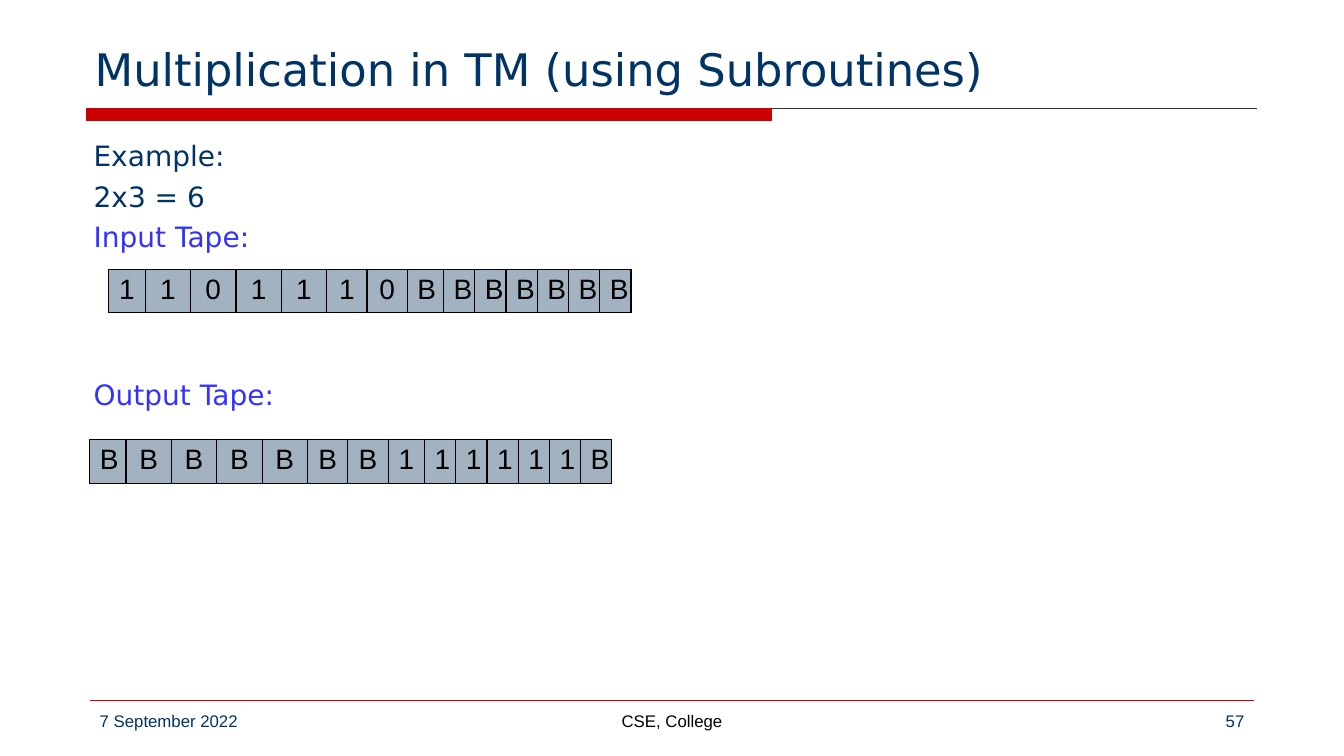
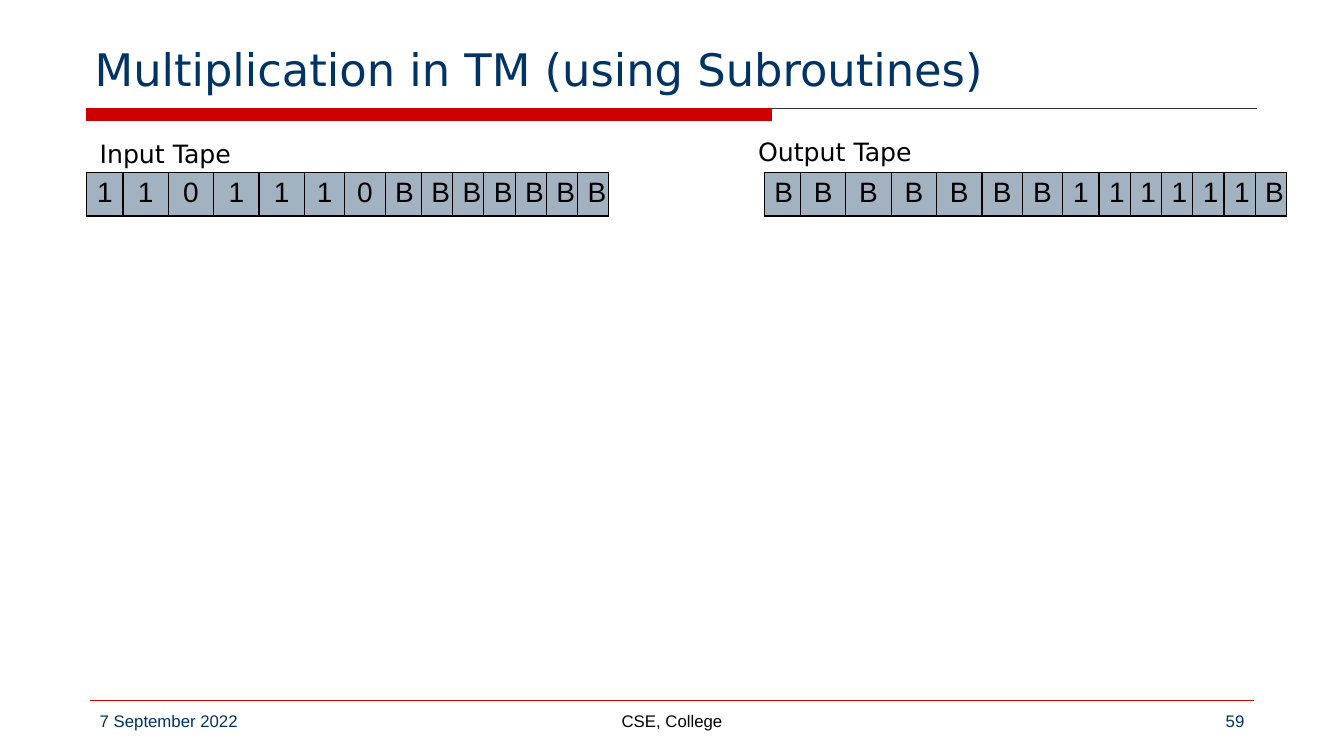
from lxml import etree
from pptx import Presentation
from pptx.dml.color import RGBColor
from pptx.enum.shapes import MSO_CONNECTOR, MSO_SHAPE
from pptx.enum.text import MSO_ANCHOR, PP_ALIGN
from pptx.oxml.ns import qn
from pptx.util import Inches, Pt

NAVY = RGBColor(0x00, 0x33, 0x66)
BLUE = RGBColor(0x33, 0x33, 0xFF)
RED = RGBColor(0xCC, 0x00, 0x00)
GREY = RGBColor(0x33, 0x33, 0x33)
CELL = RGBColor(0xA3, 0xB2, 0xC1)
BLACK = RGBColor(0x00, 0x00, 0x00)
HEADING_FONT, PLAIN_FONT = "DejaVu Sans", "Arial"

# Content
TITLE = "Multiplication in TM (using Subroutines)"
DATE, DEPARTMENT = "7 September 2022", "CSE, College"
INPUT_TAPE = "1101110BBBBBBB"
OUTPUT_TAPE = "BBBBBBB111111B"

LINE_GAP = 4.8  # points before each body line
TAPE_GAP = 89   # points that leave room for the input tape
EXAMPLE = [  # text, colour, points before
    ("Example:", NAVY, 0),
    ("2x3 = 6", NAVY, LINE_GAP),
    ("Input Tape:", BLUE, LINE_GAP),
    ("Output Tape:", BLUE, TAPE_GAP),
]

SLIDES = [
    {"number": "57",
     "body": EXAMPLE,
     "labels": [],
     "tapes": [(INPUT_TAPE, 1.08, 2.67), (OUTPUT_TAPE, 0.89, 4.36)]},
    {"number": "59",
     "body": [],
     "labels": [("Input Tape", (0.89, 1.32, 1.56, 0.4)),
                ("Output Tape", (7.42, 1.3, 1.75, 0.4))],
     "tapes": [(INPUT_TAPE, 0.86, 1.71), (OUTPUT_TAPE, 7.58, 1.71)]},
]

# Geometry in inches
TITLE_BOX = (0.84, 0.17, 11.67, 0.83)
BODY_BOX = (0.83, 1.33, 11.67, 5.5)
BAND = (0.86, 1.08, 6.79, 0.12)
RULE_END = 12.47
FOOTER_LEFT, FOOTER_RIGHT, FOOTER_RULE = 0.89, 12.44, 6.95
FOOTER_TOP, FOOTER_HEIGHT, SIDE_WIDTH, MIDDLE_WIDTH = 7, 0.35, 2.89, 4.22
TAPE_COLUMNS = [0.36] + [0.45] * 4 + [0.4] * 2 + [0.36] + [0.31] * 6
TAPE_HEIGHT = 0.42


def inches(*lengths):
    return [Inches(length) for length in lengths]


def write(paragraph, text, size, font, colour, align=PP_ALIGN.LEFT, before=0):
    paragraph.alignment = align
    paragraph.space_before = Pt(before)
    run = paragraph.add_run()
    run.text = text
    for name, value in {"size": Pt(size), "name": font}.items():
        setattr(run.font, name, value)
    run.font.color.rgb = colour


def add_text(slide, box, lines, size, font, align=PP_ALIGN.LEFT,
             anchor=MSO_ANCHOR.TOP):
    frame = slide.shapes.add_textbox(*inches(*box)).text_frame
    frame.word_wrap = True
    frame.vertical_anchor = anchor
    for index, (text, colour, before) in enumerate(lines):
        paragraph = frame.add_paragraph() if index else frame.paragraphs[0]
        write(paragraph, text, size, font, colour, align, before)


def add_rule(slide, left, right, top, colour):
    rule = slide.shapes.add_connector(
        MSO_CONNECTOR.STRAIGHT, *inches(left, top, right, top))
    rule.line.color.rgb = colour
    rule.line.width = Pt(0.75)
    etree.SubElement(rule._element.spPr, qn("a:effectLst"))


def add_frame(slide, number):
    # Title with its band
    left, top, width, _ = BAND
    add_rule(slide, left, RULE_END, top, GREY)
    band = slide.shapes.add_shape(MSO_SHAPE.RECTANGLE, *inches(*BAND))
    band.shadow.inherit = False
    band.fill.solid()
    band.fill.fore_color.rgb = RED
    band.line.color.rgb = RED
    band.line.width = Pt(0.75)
    add_text(slide, TITLE_BOX, [(TITLE, NAVY, 0)], 32, HEADING_FONT,
             anchor=MSO_ANCHOR.BOTTOM)

    # Footer
    add_rule(slide, FOOTER_LEFT, FOOTER_RIGHT, FOOTER_RULE, RED)
    middle = (FOOTER_LEFT + FOOTER_RIGHT - MIDDLE_WIDTH) / 2
    for text, x, span, colour, align in [
        (DATE, FOOTER_LEFT, SIDE_WIDTH, NAVY, PP_ALIGN.LEFT),
        (DEPARTMENT, middle, MIDDLE_WIDTH, BLACK, PP_ALIGN.CENTER),
        (number, FOOTER_RIGHT - SIDE_WIDTH, SIDE_WIDTH, NAVY, PP_ALIGN.RIGHT),
    ]:
        add_text(slide, (x, FOOTER_TOP, span, FOOTER_HEIGHT),
                 [(text, colour, 0)], 12, PLAIN_FONT, align)


def add_borders(cell):
    properties = cell._tc.get_or_add_tcPr()
    for index, side in enumerate(("a:lnL", "a:lnR", "a:lnT", "a:lnB")):
        border = etree.Element(qn(side), w=str(Pt(1)))
        fill = etree.SubElement(border, qn("a:solidFill"))
        etree.SubElement(fill, qn("a:srgbClr"), val=str(BLACK))
        properties.insert(index, border)


def add_tape(slide, symbols, left, top):
    tape = slide.shapes.add_table(
        1, len(symbols),
        *inches(left, top, sum(TAPE_COLUMNS), TAPE_HEIGHT)).table
    tape.first_row = tape.horz_banding = False
    for column, width in zip(tape.columns, TAPE_COLUMNS):
        column.width = Inches(width)
    for cell, symbol in zip(tape.iter_cells(), symbols):
        write(cell.text_frame.paragraphs[0], symbol, 20, PLAIN_FONT, BLACK,
              PP_ALIGN.CENTER)
        cell.fill.solid()
        cell.fill.fore_color.rgb = CELL
        add_borders(cell)


def main():
    deck = Presentation()
    deck.slide_width, deck.slide_height = inches(13.33, 7.5)
    for content in SLIDES:
        slide = deck.slides.add_slide(deck.slide_layouts[6])
        add_frame(slide, content["number"])
        if content["body"]:
            add_text(slide, BODY_BOX, content["body"], 20, HEADING_FONT)
        for tape in content["tapes"]:
            add_tape(slide, *tape)
        for label, box in content["labels"]:
            add_text(slide, box, [(label, BLACK, 0)], 18, HEADING_FONT)
    deck.save("out.pptx")


if __name__ == "__main__":
    main()
